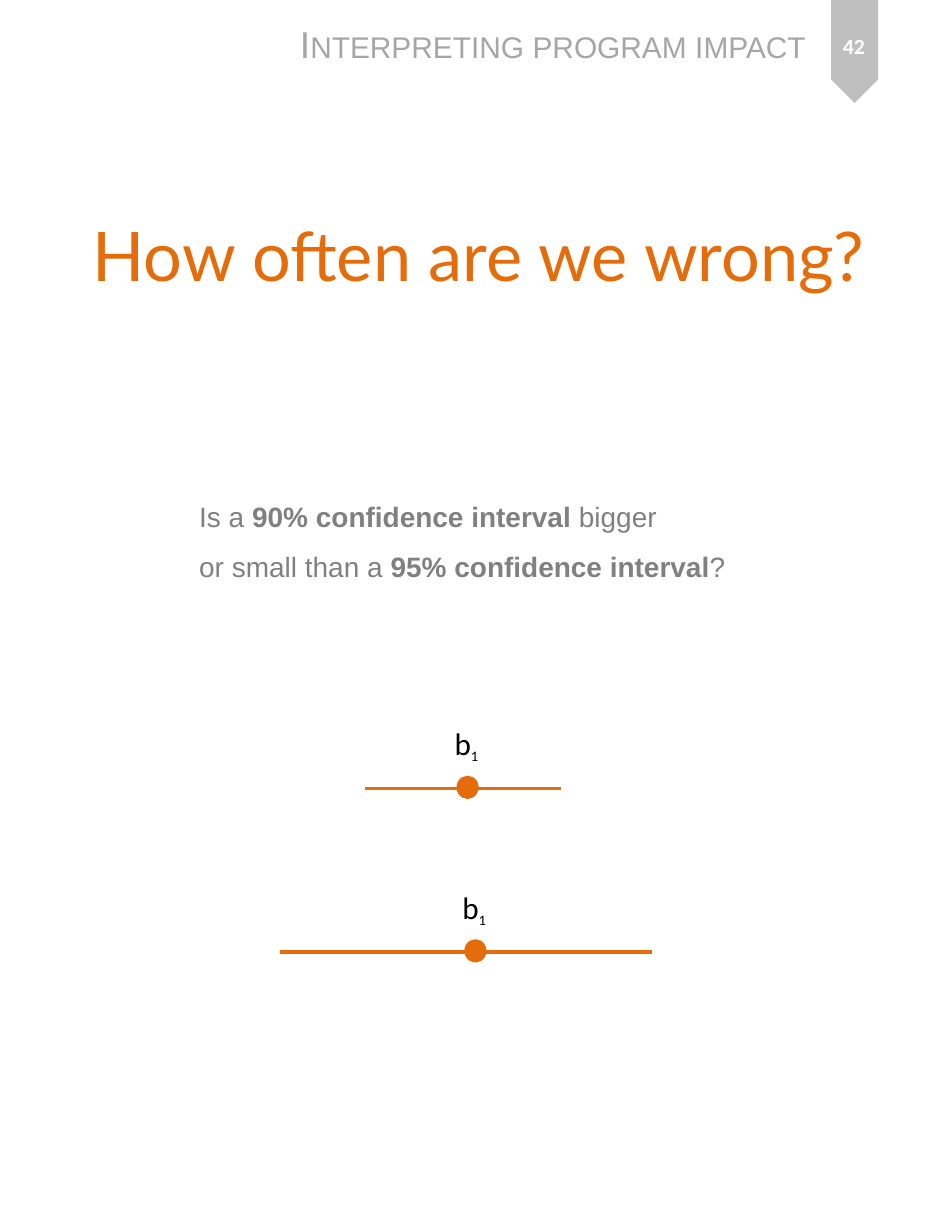
from pptx import Presentation
from pptx.dml.color import RGBColor
from pptx.enum.shapes import MSO_CONNECTOR as LINE, MSO_SHAPE as SHAPE
from pptx.enum.text import MSO_ANCHOR as ANCHOR, PP_ALIGN as ALIGN
from pptx.util import Inches, Pt
from lxml.etree import SubElement
from pptx.oxml.ns import qn

HUES = {"orange": "E46C0A", "tab": "BFBFBF", "head": "A6A6A6",
        "body": "808080", "white": "FFFFFF", "black": "000000"}


def hue(name):
    """Return the named colour."""
    return RGBColor.from_string(HUES[name])


def add_run(para, text, font, size, color, bold=False, **attrs):
    """Add one styled run, with extra run attributes."""
    run = para.add_run()
    run.text = text
    run.font.name = font
    run.font.size = Pt(size)
    run.font.bold = bold
    run.font.color.rgb = hue(color)
    for key, value in attrs.items():
        run._r.get_or_add_rPr().set(key, value)


def add_text(slide, box, paras, align=ALIGN.LEFT, anchor=ANCHOR.TOP, wrap=True, space=None):
    """Add a text box from paragraphs of runs."""
    frame = slide.shapes.add_textbox(*map(Inches, box)).text_frame
    frame.word_wrap = wrap
    frame.vertical_anchor = anchor
    for i, runs in enumerate(paras):
        para = frame.add_paragraph() if i else frame.paragraphs[0]
        para.alignment = align
        para.line_spacing = space
        for text, font, size, color, *rest in runs:
            add_run(para, text, font, size, color, *rest)
    return frame


def add_shape(slide, kind, box, color, width=0):
    """Add a filled shape, outlined when a width is given."""
    shape = slide.shapes.add_shape(kind, *map(Inches, box))
    shape.shadow.inherit = False
    shape.fill.solid()
    shape.fill.fore_color.rgb = hue(color)
    if width:
        shape.line.color.rgb = hue(color)
        shape.line.width = Pt(width)
    else:
        shape.line.fill.background()
    return shape


def add_range(slide, left, right, y, dot):
    """Draw an interval line with its labelled estimate."""
    line = slide.shapes.add_connector(
        LINE.STRAIGHT, Inches(left), Inches(y), Inches(right), Inches(y))
    line.line.color.rgb = hue("orange")
    line.line.width = Pt(2)
    SubElement(line._element.spPr, qn("a:effectLst"))
    label = add_text(slide, (dot - 0.13, y - 0.62, 0.42, 0.44),
                     [[("b", "Calibri", 20, "black")]], wrap=False)
    add_run(label.paragraphs[0], "1", "Calibri", 16, "black", baseline="-25000")
    add_shape(slide, SHAPE.OVAL, (dot, y - 0.1, 0.17, 0.18), "orange", 2)


def add_header(slide):
    """Add the running title and the page tab."""
    tab = add_shape(slide, SHAPE.PENTAGON, (7.17, 0.25, 0.92, 0.42), "tab")
    tab.rotation = 90
    head = add_text(slide, (2.58, 0.14, 4.96, 0.5), [[]], wrap=False)
    add_run(head.paragraphs[0], "Interpreting program impact",
            "Arial", 24, "head", cap="small")
    add_text(slide, (7.29, 0.11, 0.67, 0.59),
             [[("42", "Calibri", 14, "white", True)]], ALIGN.CENTER, ANCHOR.MIDDLE)


def main():
    """Build and save the slide."""
    deck = Presentation()
    deck.slide_width, deck.slide_height = Inches(8.5), Inches(11)
    slide = deck.slides.add_slide(deck.slide_layouts[6])
    add_header(slide)
    add_text(slide, (0.45, 1.35, 7.65, 1.83),
             [[("How often are we wrong?", "Lato", 44, "orange")]],
             ALIGN.CENTER, ANCHOR.MIDDLE)
    style = ("Arial", 18, "body")
    add_text(slide, (1.68, 4.26, 5.55, 0.95), [
        [("Is a ", *style), ("90% confidence interval ", *style, True), ("bigger ", *style)],
        [("or small than a ", *style), ("95% confidence interval", *style, True), ("?", *style)],
    ], ALIGN.JUSTIFY, space=1.5)
    add_range(slide, 2.5, 5.82, 8.5, 4.16)
    add_range(slide, 3.26, 5.01, 7.04, 4.09)
    deck.save("out.pptx")


if __name__ == "__main__":
    main()
